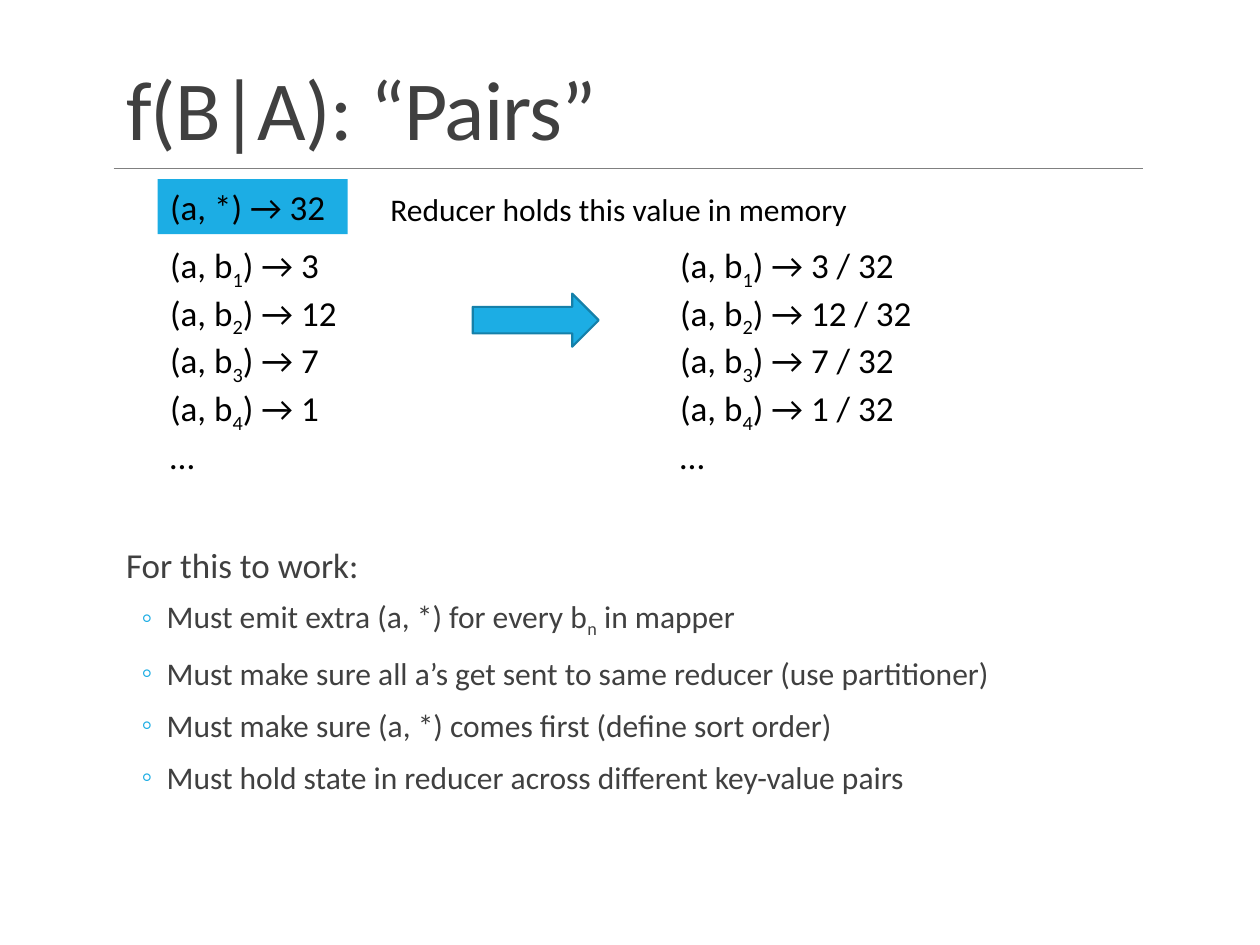
from dataclasses import dataclass

from lxml import etree
from pptx import Presentation
from pptx.dml.color import RGBColor
from pptx.enum import shapes, text
from pptx.oxml.ns import qn
from pptx.util import Cm, Pt


@dataclass(frozen=True)
class Theme:
    font: str = "Calibri"
    ink: RGBColor = RGBColor(0x40, 0x40, 0x40)
    black: RGBColor = RGBColor(0, 0, 0)
    accent: RGBColor = RGBColor(0x1C, 0xAD, 0xE4)
    accent_edge: RGBColor = RGBColor(0x15, 0x80, 0xA9)
    rule: RGBColor = RGBColor(0x80, 0x80, 0x80)
    title: int = 48
    large: int = 20
    small: int = 18


THEME = Theme()

# A line is a tuple of spans; every second span is a subscript.
TITLE = "f(B|A): “Pairs”"
TOTAL = 32
COUNTS = [3, 12, 7, 1]
NOTE = "Reducer holds this value in memory"
LEAD = "For this to work:"
REQUIREMENTS = [
    ("Must emit extra (a, *) for every b", "n", " in mapper"),
    ("Must make sure all a’s get sent to same reducer (use partitioner)",),
    ("Must make sure (a, *) comes first (define sort order)",),
    ("Must hold state in reducer across different key-value pairs",),
]

# Left, top, width, height in cm
TITLE_AREA = (2.29, 0.79, 20.95, 2.51)
BODY_AREA = (2.29, 10.74, 20.95, 5.57)
TOTAL_AREA = (3.18, 3.61, 3.83, 1.11)
NOTE_AREA = (7.62, 3.71, 9.83, 1.02)
COUNTS_AREA = (3.18, 4.78, 4.09, 4.52)
RATIOS_AREA = (13.46, 4.78, 5.26, 4.52)
ARROW_AREA = (9.53, 5.92, 2.54, 1.07)
RULE_LEFT, RULE_RIGHT, RULE_TOP = 2.29, 23.04, 3.4


def place(shape, area):
    shape.left, shape.top, shape.width, shape.height = map(Cm, area)


def write(para, spans, size, color):
    for index, words in enumerate(spans):
        span = para.add_run()
        span.text = words
        if index % 2:
            span._r.get_or_add_rPr().set("baseline", "-25000")
    para.alignment = text.PP_ALIGN.LEFT
    para.font.name = THEME.font
    para.font.size = Pt(size)
    para.font.color.rgb = color


def fill_frame(frame, lines, size, color):
    frame.word_wrap = True
    frame.auto_size = text.MSO_AUTO_SIZE.NONE
    for index, spans in enumerate(lines):
        para = frame.add_paragraph() if index else frame.paragraphs[0]
        write(para, spans, size, color)


def add_text(page, area, lines, size):
    box = page.shapes.add_textbox(*map(Cm, area))
    fill_frame(box.text_frame, lines, size, THEME.black)


def add_accent_shape(page, kind, area):
    shape = page.shapes.add_shape(kind, *map(Cm, area))
    shape.shadow.inherit = False
    shape.fill.solid()
    shape.fill.fore_color.rgb = THEME.accent
    return shape


def set_bullet(para, left, hanging, mark=None):
    props = para._p.get_or_add_pPr()
    props.set("marL", str(Cm(left)))
    props.set("indent", str(-Cm(hanging)))
    if mark is None:
        etree.SubElement(props, qn("a:buNone"))
        return
    color = etree.SubElement(props, qn("a:buClr"))
    etree.SubElement(color, qn("a:srgbClr"), val=str(THEME.accent))
    etree.SubElement(props, qn("a:buChar"), char=mark)


def add_title(page):
    title = page.shapes.title
    place(title, TITLE_AREA)
    fill_frame(title.text_frame, [(TITLE,)], THEME.title, THEME.ink)
    title.text_frame.vertical_anchor = text.MSO_ANCHOR.BOTTOM
    para = title.text_frame.paragraphs[0]
    para.line_spacing = 0.85
    para.runs[0]._r.get_or_add_rPr().set("spc", "-50")

    rule = page.shapes.add_connector(
        shapes.MSO_CONNECTOR.STRAIGHT,
        Cm(RULE_LEFT), Cm(RULE_TOP), Cm(RULE_RIGHT), Cm(RULE_TOP))
    rule.line.color.rgb = THEME.rule
    rule.line.width = Pt(0.5)
    etree.SubElement(rule._element.spPr, qn("a:effectLst"))


def add_requirements(page):
    body = page.placeholders[1]
    place(body, BODY_AREA)
    frame = body.text_frame
    frame.word_wrap = True
    frame.auto_size = text.MSO_AUTO_SIZE.NONE
    frame.margin_left = frame.margin_right = 0

    lead = frame.paragraphs[0]
    set_bullet(lead, 0.25, 0)
    write(lead, (LEAD,), THEME.large, THEME.ink)
    lead.space_before, lead.space_after = Pt(0), Pt(2)
    lead.line_spacing = 1.1
    for spans in REQUIREMENTS:
        para = frame.add_paragraph()
        para.level = 1
        set_bullet(para, 1.07, 0.51, "◦")
        write(para, spans, THEME.small, THEME.ink)
        para.space_before, para.space_after = Pt(2), Pt(4)
        para.line_spacing = 1.1


def pair_lines(suffix=""):
    """List one (a, bn) line per count, closed by an ellipsis."""
    return [("(a, b", str(number), f") → {count}{suffix}")
            for number, count in enumerate(COUNTS, 1)] + [("…",)]


def main():
    deck = Presentation()
    deck.slide_width, deck.slide_height = Cm(25.4), Cm(19.05)
    page = deck.slides.add_slide(deck.slide_layouts[1])

    add_title(page)
    add_requirements(page)
    add_text(page, COUNTS_AREA, pair_lines(), THEME.large)

    arrow = add_accent_shape(page, shapes.MSO_SHAPE.RIGHT_ARROW, ARROW_AREA)
    arrow.line.color.rgb = THEME.accent_edge
    arrow.line.width = Pt(1.25)

    total = add_accent_shape(page, shapes.MSO_SHAPE.RECTANGLE, TOTAL_AREA)
    total.line.fill.background()
    fill_frame(total.text_frame, [(f"(a, *) → {TOTAL}",)], THEME.large, THEME.black)

    add_text(page, RATIOS_AREA, pair_lines(f" / {TOTAL}"), THEME.large)
    add_text(page, NOTE_AREA, [(NOTE,)], THEME.small)
    deck.save("out.pptx")


if __name__ == "__main__":
    main()
